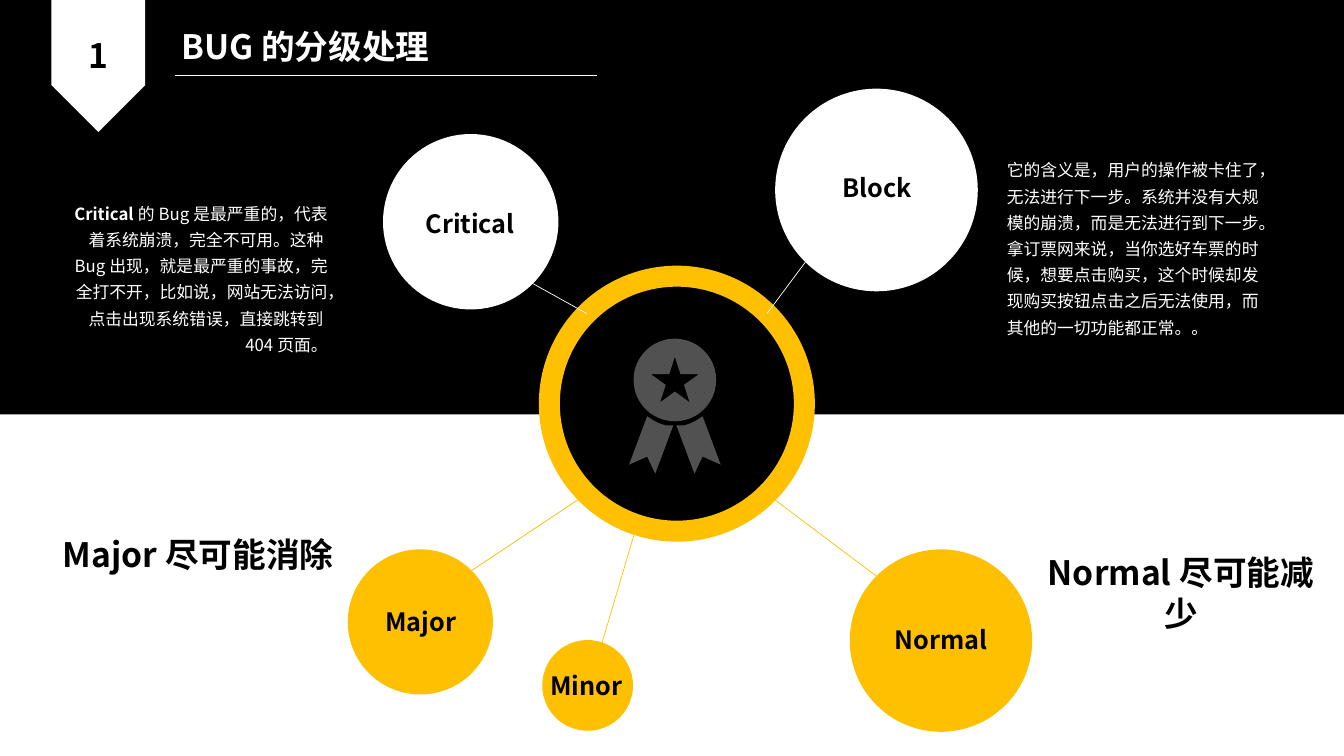
import math
from pptx import Presentation, util as u
from pptx.dml.color import RGBColor
from pptx.enum import shapes, text
from pptx.oxml.ns import qn
from lxml import etree

HUES = {"ink": "000000", "paper": "FFFFFF", "gold": "FEC001", "grey": "515151"}
FONT = "Noto Sans CJK SC"
CELL = u.Inches(0.1)  # one column or row of the grid
COLS, ROWS = 133.33, 75
KIND = shapes.MSO_SHAPE
LEFT, MID, RIGHT = text.PP_ALIGN.LEFT, text.PP_ALIGN.CENTER, text.PP_ALIGN.RIGHT

deck = Presentation()
deck.slide_width, deck.slide_height = round(COLS * CELL), ROWS * CELL
slide = deck.slides.add_slide(deck.slide_layouts[6])
slide.background.fill.solid()
slide.background.fill.fore_color.rgb = RGBColor.from_string(HUES["ink"])


def shape(kind, box, hue):
    item = slide.shapes.add_shape(kind, *[round(n * CELL) for n in box])
    item.shadow.inherit = False
    item.fill.solid()
    item.fill.fore_color.rgb = RGBColor.from_string(HUES[hue])
    item.line.fill.background()
    return item


def label(box, parts, size, hue, align=MID, space=None, anchor=text.MSO_ANCHOR.TOP):
    """Add a text box; parts are (words, bold) pairs."""
    frame = slide.shapes.add_textbox(*[round(n * CELL) for n in box]).text_frame
    frame.word_wrap = True
    frame.vertical_anchor = anchor
    para = frame.paragraphs[0]
    para.alignment, para.line_spacing = align, space
    for words, bold in parts:
        run = para.add_run()
        run.text = words
        run.font.size, run.font.bold, run.font.name = u.Pt(size), bold, FONT
        run.font.color.rgb = RGBColor.from_string(HUES[hue])
        east = etree.SubElement(run.font._element, qn("a:ea"))
        east.set("typeface", FONT)


# Lower half and number badge
shape(KIND.RECTANGLE, (0, 41.1, COLS, ROWS - 41.1), "paper")
badge = shape(KIND.PENTAGON, (3.2, 1.9, 13.1, 9.3), "paper")
badge.rotation = 90

# Heading
head = text.MSO_ANCHOR.MIDDLE
label((17, 2.7, 41.7, 4.2), [("BUG的分级处理", True)], 24, "paper", LEFT, 0.9, head)
label((6.4, 3.4, 6.7, 4.6), [("1", True)], 24, "ink", MID, 0.9, head)

# Central ring
ring = shape(KIND.OVAL, (54.5, 27.4, 25.3, 25.3), "ink")
ring.line.color.rgb = RGBColor.from_string(HUES["gold"])
ring.line.width = u.Pt(15)

# Heading rule, then spokes from the ring
lines = [
    (17.4, 7.5, 59.2, 7.5, "paper"),
    (76.1, 31.1, 79.9, 26, "paper"),
    (52.8, 28.1, 58.2, 31.1, "paper"),
    (46.8, 56.6, 58.2, 49, "gold"),
    (58.3, 68.6, 63, 52.7, "gold"),
    (76.1, 49, 87, 57.2, "gold"),
]
for *ends, hue in lines:
    spoke = slide.shapes.add_connector(
        shapes.MSO_CONNECTOR.STRAIGHT, *[round(n * CELL) for n in ends])
    spoke.line.color.rgb = RGBColor.from_string(HUES[hue])
    spoke.line.width = u.Pt(0.5)
    etree.SubElement(spoke._element.spPr, qn("a:effectLst"))

# Level circles: name, centre, width, label centre, colour
levels = [
    ("Minor", 58.3, 68, 9, 58.15, 68, "gold"),
    ("Major", 41.7, 61.7, 14.4, 41.75, 61.7, "gold"),
    ("Normal", 93.35, 63.55, 18.1, 93.35, 63.4, "gold"),
    ("Critical", 46.7, 22, 17.4, 46.65, 22.2, "paper"),
    ("Block", 86.95, 18.85, 20.1, 87.05, 18.6, "paper"),
]
for name, x, y, wide, mid, row, hue in levels:
    shape(KIND.OVAL, (x - wide / 2, y - wide / 2, wide, wide), hue)
    label((mid - 8.05, row - 2, 16.1, 4), [(name, True)], 18, "ink")

# Award: two ribbons, a disc and a star cut out of it
axis = 66.95
tail = [(2.75, 41.3), (4.55, 46.1), (2.75, 45.3), (1.95, 47),
        (0.15, 42.2), (0.95, 42.2), (1.55, 42), (2.15, 41.7)]
disc = [(4.1 * math.sin(math.tau * i / 48), 37.7 - 4.1 * math.cos(math.tau * i / 48))
        for i in range(48)]
star = []
for i in range(10):
    reach = 0.95 if i % 2 else 2.5
    turn = -math.pi * i / 5
    star.append((reach * math.sin(turn), 37.9 - reach * math.cos(turn)))
rings = [[(round((axis + x) * CELL), round(y * CELL)) for x, y in pts]
         for pts in (tail, [(-x, y) for x, y in tail], disc, star)]
pen = slide.shapes.build_freeform(*rings[0][0])
for i, pts in enumerate(rings):
    if i:
        pen.move_to(*pts[0])
    pen.add_line_segments(pts[1:], close=True)
award = pen.convert_to_shape()
award.shadow.inherit = False
award.fill.solid()
award.fill.fore_color.rgb = RGBColor.from_string(HUES["grey"])
award.line.fill.background()

# Notes on the levels
label((5.5, 19.1, 28, 16.5), [
    ("Critical", True),
    ("的Bug是最严重的，代表着系统崩溃，完全不可用。这种Bug出现，就是最严重的事故，"
     "完全打不开，比如说，网站无法访问，点击出现系统错误，直接跳转到404页面。", False),
], 12, "paper", RIGHT, 1.3)
label((98.9, 14.8, 28, 19.4), [
    ("它的含义是，用户的操作被卡住了，无法进行下一步。系统并没有大规模的崩溃，"
     "而是无法进行到下一步。拿订票网来说，当你选好车票的时候，想要点击购买，"
     "这个时候却发现购买按钮点击之后无法使用，而其他的一切功能都正常。。", False),
], 12, "paper", LEFT, 1.3)
label((4.5, 52.5, 30.3, 5), [("Major尽可能消除", True)], 24, "ink")
label((102, 54.3, 30.3, 9.1), [("Normal尽可能减少", True)], 24, "ink")

deck.save("out.pptx")
